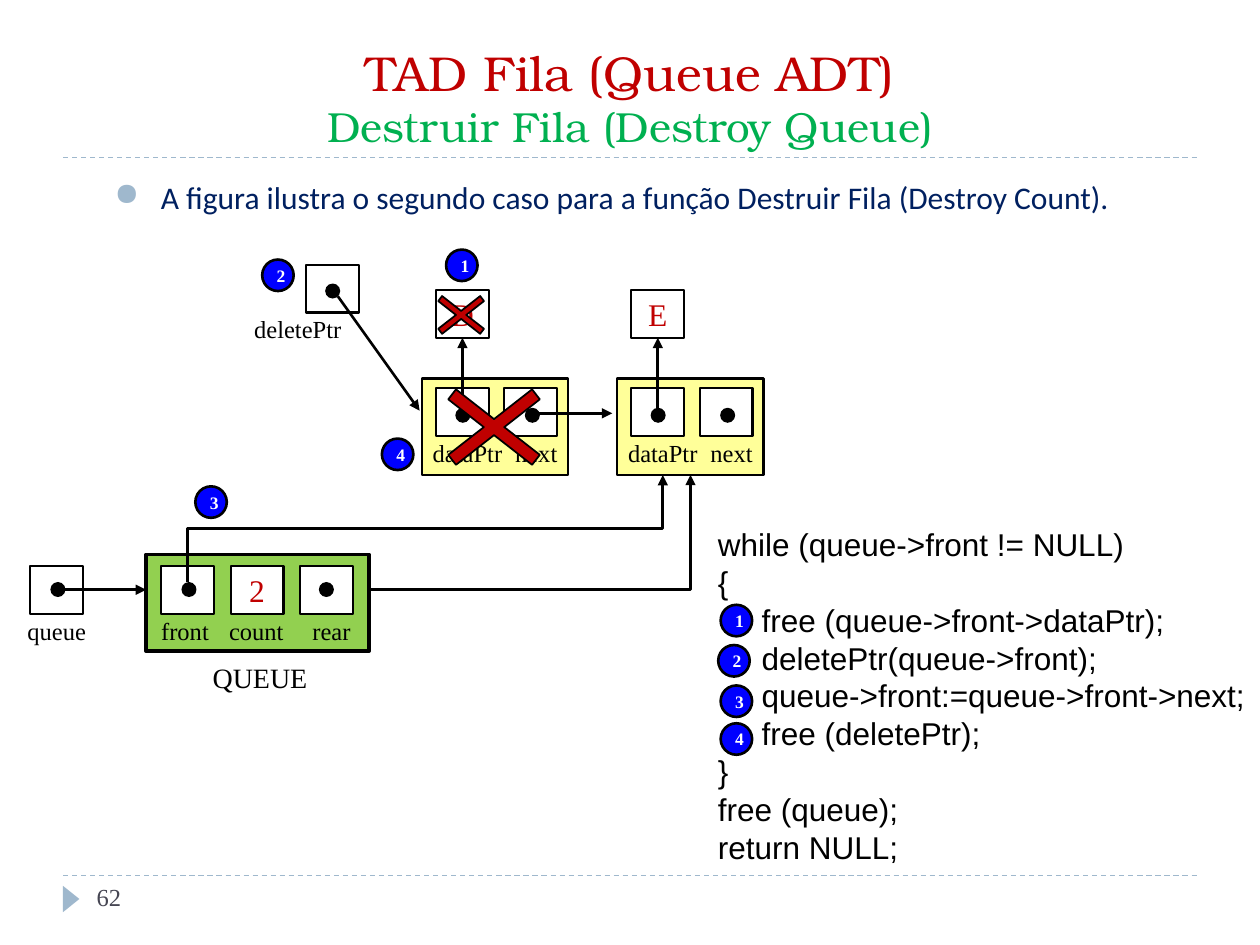
from lxml import etree
from pptx import Presentation
from pptx.dml.color import RGBColor
from pptx.enum.dml import MSO_LINE
from pptx.enum.shapes import MSO_CONNECTOR as Connector, MSO_SHAPE as Shape
from pptx.enum.text import MSO_ANCHOR as Anchor, PP_ALIGN as Align
from pptx.oxml.ns import qn
from pptx.util import Pt

SERIF = "Times New Roman"
RED, BLACK, WHITE, YELLOW = "C00000", "000000", "FFFFFF", "FFFF99"
PALE_BLUE = "9FB8CD"


def color(value):
    return RGBColor.from_string(value)


def write(paragraph, text, size=14, font=SERIF, fill=BLACK, bold=False, align=None):
    run = paragraph.add_run()
    run.text = text
    run.font.size = Pt(size)
    run.font.name = font
    run.font.bold = bold
    run.font.color.rgb = color(fill)
    paragraph.alignment = align


presentation = Presentation()
presentation.slide_width, presentation.slide_height = Pt(720), Pt(540)
slide = presentation.slides.add_slide(presentation.slide_layouts[6])
shapes = slide.shapes

# Title
title = shapes.add_textbox(Pt(36), Pt(18), Pt(648), Pt(72)).text_frame
title.word_wrap = True
title.vertical_anchor = Anchor.BOTTOM
paragraph = title.paragraphs[0]
write(paragraph, "TAD Fila (Queue ADT)", 28, "TeX Gyre Bonum", RED)
paragraph.add_line_break()
write(paragraph, "Destruir Fila (Destroy Queue)", 24, "TeX Gyre Bonum", "00B050",
      align=Align.CENTER)

# Bulleted sentence
body = shapes.add_textbox(Pt(58.3), Pt(97.9), Pt(612), Pt(35.3)).text_frame
body.word_wrap = True
paragraph = body.paragraphs[0]
properties = paragraph._p.get_or_add_pPr()
properties.set("marL", str(Pt(26.6)))
properties.set("indent", str(-Pt(26.6)))
bullet_color = etree.SubElement(properties, qn("a:buClr"))
etree.SubElement(bullet_color, qn("a:srgbClr")).set("val", PALE_BLUE)
etree.SubElement(properties, qn("a:buChar")).set("char", "●")
write(paragraph, "A figura ilustra o segundo caso para a função Destruir Fila (Destroy Count).",
      18, "Calibri", "002060", align=Align.JUSTIFY)

# Geometry of the diagram
CELL_WIDTH, CELL_HEIGHT, DOT, BADGE = 30.2, 27.4, 8.6, 18
node_lefts = [241.2, 352.8]
queue_cells = [92.2 + 39.6 * column for column in range(3)]

# Boxes: left, top, width, height, fill, line width
boxes = [(83.5, 316.8, 127.4, 55.4, "92D050", 2)]
boxes += [(left, 216.3, 83.5, 55.4, YELLOW, 1.25) for left in node_lefts]
cells = [(17.3, 323.3, ""), (175, 151.2, "")]
cells += [(left, 323.3, text) for left, text in zip(queue_cells, ["", "2", ""])]
for left in node_lefts:
    cells += [(left + 8, 221.8, ""), (left + 47, 221.8, "")]
cells += [(left + 8, 165.6, text) for left, text in zip(node_lefts, "DE")]
boxes += [(left, top, CELL_WIDTH, CELL_HEIGHT, WHITE, 1.25, text) for left, top, text in cells]
data_cells = []
for left, top, width, height, fill, line_width, *texts in boxes:
    shape = shapes.add_shape(Shape.RECTANGLE, Pt(left), Pt(top), Pt(width), Pt(height))
    shape.shadow.inherit = False
    shape.fill.solid()
    shape.fill.fore_color.rgb = color(fill)
    shape.line.color.rgb = color(BLACK)
    shape.line.width = Pt(line_width)
    if any(texts):
        shape.text_frame.vertical_anchor = Anchor.MIDDLE
        write(shape.text_frame.paragraphs[0], texts[0], 18, fill=RED, align=Align.CENTER)
        if texts[0] in "DE":
            data_cells.append(shape)

# Labels: text, left, top, width, size
labels = [("queue", 8.6, 348.5, 48, 14), ("front", 85, 348.5, 41.8, 14),
          ("count", 123.8, 348.5, 46, 14), ("rear", 171.4, 348.5, 36.7, 14),
          ("QUEUE", 114.5, 373.7, 69, 16), ("deletePtr", 138.2, 175.7, 64.8, 14)]
for left in node_lefts:
    labels += [("dataPtr", left - 1, 247, 54.7, 14), ("next", left + 46.1, 247, 38.9, 14)]
for text, left, top, width, size in labels:
    label = shapes.add_textbox(Pt(left), Pt(top), Pt(width), Pt(24.5))
    write(label.text_frame.paragraphs[0], text, size)

# Page number
number = shapes.add_textbox(Pt(48.2), Pt(500.4), Pt(156.2), Pt(28.8))
write(number.text_frame.paragraphs[0], "62", fill="464653")

# Rules and arrows: kind, start, end
STRAIGHT, ELBOW = Connector.STRAIGHT, Connector.ELBOW
rules = [(STRAIGHT, 36, y, 684, y) for y in (90, 500.4)]
arrows = [(STRAIGHT, 32.4, 337, 83.5, 337), (STRAIGHT, 305.3, 236.2, 349.9, 236.2),
          (STRAIGHT, 193, 169.2, 239.8, 234.7)]
arrows += [(STRAIGHT, left + 23.1, 235, left + 23.1, 193) for left in node_lefts]
arrows += [(ELBOW, 212.4, 166.3, 273.6, 437.8), (ELBOW, 190.8, 337, 394.6, 271.4)]
connectors = []
for kind, *ends in rules + arrows:
    connector = shapes.add_connector(kind, *map(Pt, ends))
    is_rule = len(connectors) < len(rules)
    connector.line.color.rgb = color(PALE_BLUE if is_rule else BLACK)
    connector.line.width = Pt(0.75 if is_rule else 1.5)
    if is_rule:
        connector.line.dash_style = MSO_LINE.DASH
    else:
        outline = connector.line._get_or_add_ln()
        etree.SubElement(outline, qn("a:tailEnd")).set("type", "triangle")
    etree.SubElement(connector._element.spPr, qn("a:effectLst"))
    connectors.append(connector)
for connector, cell in zip(connectors[-4:-2], data_cells):
    connector.end_connect(cell, 2)

# The front arrow leaves upwards; the rear arrow has one bend and runs behind the queue
front_arrow, rear_arrow = connectors[-2:]
front_arrow._element.spPr.find(qn("a:xfrm")).set("rot", str(270 * 60000))
rear_arrow._element.spPr.find(qn("a:prstGeom")).set("prst", "bentConnector2")
shapes._spTree.insert(2, rear_arrow._element)

# Pointer dots, crosses and page marker: kind, left, top, width, height, fill, line width
dots = [(28.8, 332.6), (103.7, 332.6), (182.2, 332.6), (185.8, 162)]
for left in node_lefts:
    dots += [(left + 19, 233), (left + 58.7, 233)]
marks = [(Shape.OVAL, left, top, DOT, DOT, BLACK, 0) for left, top in dots]
marks += [(Shape.MATH_MULTIPLY, 236.2, 208.1, 92.2, 72, RED, 1),
          (Shape.MATH_MULTIPLY, 240.5, 162, 46.1, 36, RED, 1),
          (Shape.ISOSCELES_TRIANGLE, 33.1, 509, 15.1, 9.4, PALE_BLUE, 0)]

# Numbered badges, in the code and in the diagram
badges = [("1", 411.8, 345.6), ("1", 254.9, 142.6), ("2", 410.4, 368.6), ("2", 149.8, 148.3),
          ("3", 411.8, 391.7), ("3", 111.6, 277.9), ("4", 411.8, 413.3), ("4", 218.2, 250.6)]
marks += [(Shape.OVAL, left, top, BADGE, BADGE, "0000FF", 1.5, text)
          for text, left, top in badges]
for kind, left, top, width, height, fill, line_width, *texts in marks:
    shape = shapes.add_shape(kind, Pt(left), Pt(top), Pt(width), Pt(height))
    shape.shadow.inherit = False
    shape.fill.solid()
    shape.fill.fore_color.rgb = color(fill)
    if line_width:
        shape.line.color.rgb = color(BLACK)
        shape.line.width = Pt(line_width)
    else:
        shape.line.fill.background()
    if kind == Shape.MATH_MULTIPLY:
        shape.adjustments[0] = 0.1
    if kind == Shape.ISOSCELES_TRIANGLE:
        shape.rotation = 90
    if texts:
        shape.text_frame.vertical_anchor = Anchor.MIDDLE
        write(shape.text_frame.paragraphs[0], texts[0], 10, fill=WHITE, bold=True,
              align=Align.CENTER)

# Code
code = """while (queue->front != NULL)
{
     free (queue->front->dataPtr);
     deletePtr(queue->front);
     queue->front:=queue->front->next;
     free (deletePtr);
}
free (queue);
return NULL;"""
code_frame = shapes.add_textbox(Pt(403.2), Pt(296.6), Pt(316.8), Pt(203.8)).text_frame
code_frame.word_wrap = True
for index, line in enumerate(code.splitlines()):
    paragraph = code_frame.add_paragraph() if index else code_frame.paragraphs[0]
    write(paragraph, line, 18, "Arial")

presentation.save("out.pptx")
